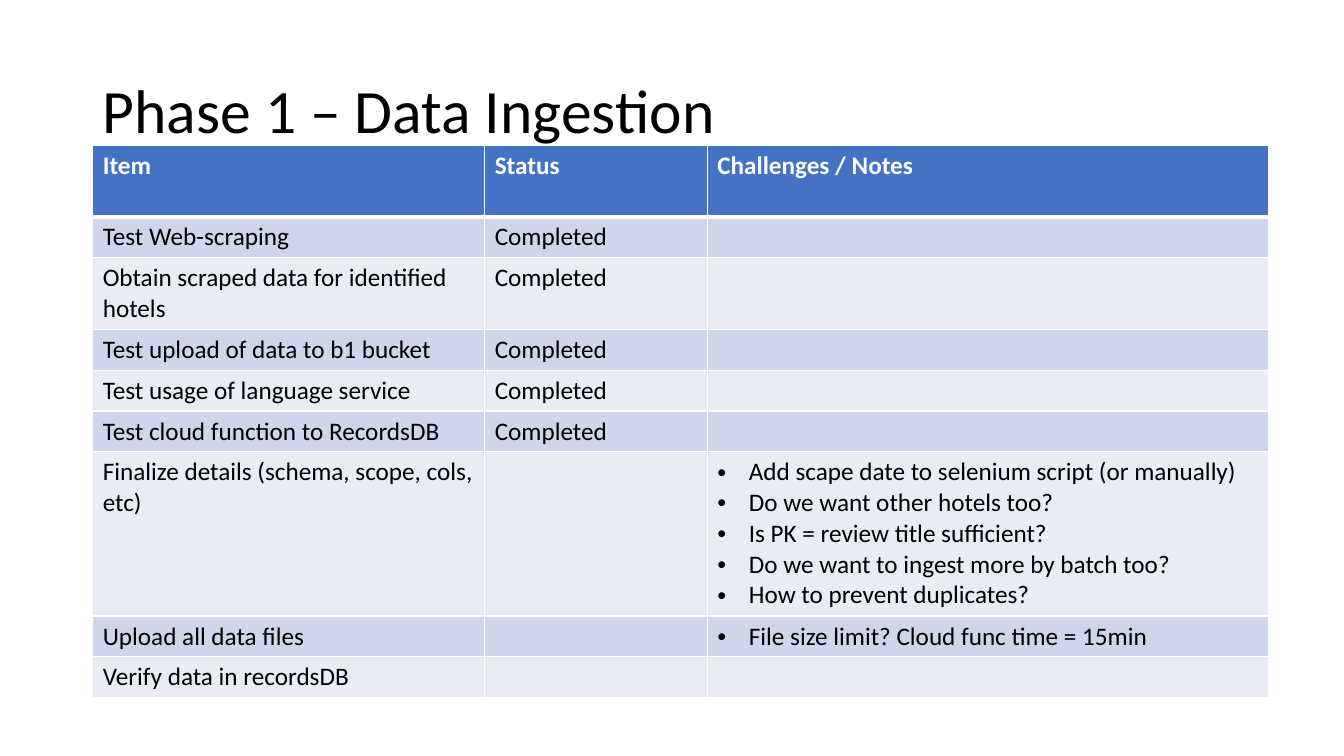
"""Build the Phase 1 data ingestion status slide."""
from lxml import etree
from pptx import Presentation
from pptx.dml.color import RGBColor
from pptx.enum import text
from pptx.oxml import ns
from pptx.util import Pt

TITLE = "Phase 1 – Data Ingestion"
HEADER = ("Item", "Status", "Challenges / Notes")
TASKS = [
    ("Test Web-scraping", "Completed", []),
    ("Obtain scraped data for identified hotels", "Completed", []),
    ("Test upload of data to b1 bucket", "Completed", []),
    ("Test usage of language service", "Completed", []),
    ("Test cloud function to RecordsDB", "Completed", []),
    ("Finalize details (schema, scope, cols, etc)", "", [
        "Add scape date to selenium script (or manually)",
        "Do we want other hotels too?",
        "Is PK = review title sufficient?",
        "Do we want to ingest more by batch too?",
        "How to prevent duplicates?",
    ]),
    ("Upload all data files", "", ["File size limit? Cloud func time = 15min"]),
    ("Verify data in recordsDB", "", []),
]
COLORS = {"text": "000000", "white": "FFFFFF", "header": "4472C4",
          "odd": "CFD5EA", "even": "E9EBF5"}
FONT = "Calibri"
LEFT, TABLE_TOP = 66.24, 103.8
COL_WIDTHS = (280, 159, 401)
HEADER_HEIGHT, LINE_HEIGHT, CELL_PADDING = 51, 22, 7.2
ITEM_LINE_CHARS = 38
BULLET_INDENT = 22.5


def rgb(name):
    return RGBColor.from_string(COLORS[name])


def write(p, content, size=18, color="text", bold=False, bullet=False):
    r = p.add_run()
    r.text = content
    r.font.name, r.font.size, r.font.bold = FONT, Pt(size), bold
    r.font.color.rgb = rgb(color)
    if bullet:
        pPr = p._p.get_or_add_pPr()
        pPr.set("marL", str(Pt(BULLET_INDENT)))
        pPr.set("indent", str(-Pt(BULLET_INDENT)))
        etree.SubElement(pPr, ns.qn("a:buFont"), typeface="Arial")
        etree.SubElement(pPr, ns.qn("a:buChar"), char="•")


def style_cell(cell, fill, top=1, bottom=1):
    tcPr = cell._tc.get_or_add_tcPr()
    for side, width in (("L", 1), ("R", 1), ("T", top), ("B", bottom)):
        ln = etree.SubElement(tcPr, ns.qn(f"a:ln{side}"), w=str(Pt(width)))
        solid = etree.SubElement(ln, ns.qn("a:solidFill"))
        etree.SubElement(solid, ns.qn("a:srgbClr"), val=COLORS["white"])
    cell.fill.solid()
    cell.fill.fore_color.rgb = rgb(fill)


def fill_cell(cell, lines, **fmt):
    tf = cell.text_frame
    for i, line in enumerate(lines):
        p = tf.add_paragraph() if i else tf.paragraphs[0]
        write(p, line, **fmt)


def add_title(s):
    sp = s.shapes.title
    sp.left, sp.top, sp.width, sp.height = Pt(LEFT), Pt(28.8), Pt(828), Pt(104.4)
    tf = sp.text_frame
    tf.vertical_anchor = text.MSO_ANCHOR.MIDDLE
    p = tf.paragraphs[0]
    p.alignment, p.line_spacing = text.PP_ALIGN.LEFT, 0.9
    write(p, TITLE, size=44)


def add_status_table(s):
    heights = [HEADER_HEIGHT]
    for item, _, notes in TASKS:
        lines = max(1 + len(item) // ITEM_LINE_CHARS, len(notes))
        heights.append(CELL_PADDING + LINE_HEIGHT * lines)
    tbl = s.shapes.add_table(len(heights), len(HEADER), Pt(LEFT), Pt(TABLE_TOP),
                             Pt(sum(COL_WIDTHS)), Pt(sum(heights))).table
    for col, width in zip(tbl.columns, COL_WIDTHS):
        col.width = Pt(width)
    for row, height in zip(tbl.rows, heights):
        row.height = Pt(height)
    for c, label in enumerate(HEADER):
        style_cell(tbl.cell(0, c), "header", bottom=3)
        fill_cell(tbl.cell(0, c), [label], color="white", bold=True)
    for r, (item, status, notes) in enumerate(TASKS, 1):
        for c, lines in enumerate(([item], [status] if status else [], notes)):
            cell = tbl.cell(r, c)
            style_cell(cell, "odd" if r % 2 else "even", top=3 if r == 1 else 1)
            fill_cell(cell, lines, bullet=c == 2)


def main():
    prs = Presentation()
    prs.slide_width, prs.slide_height = Pt(960), Pt(540)
    s = prs.slides.add_slide(prs.slide_layouts[5])
    add_title(s)
    add_status_table(s)
    prs.save("out.pptx")


if __name__ == "__main__":
    main()
